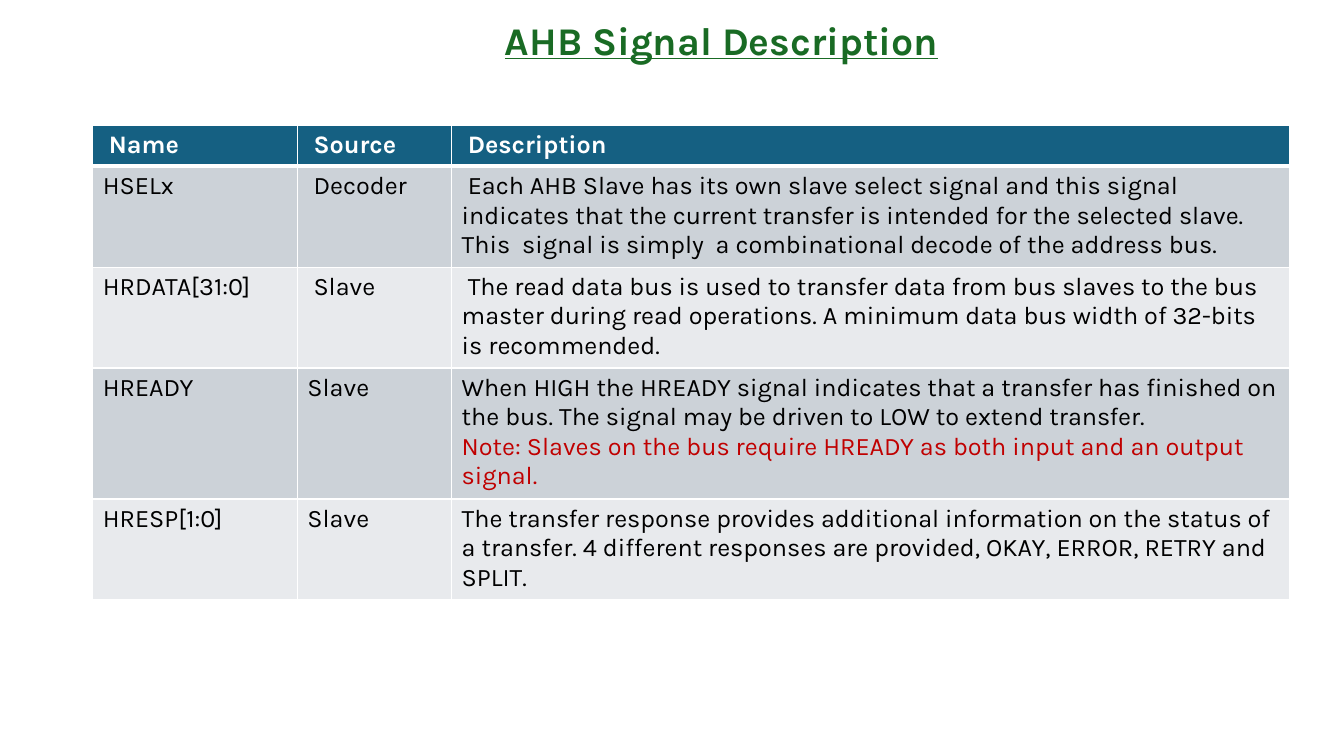
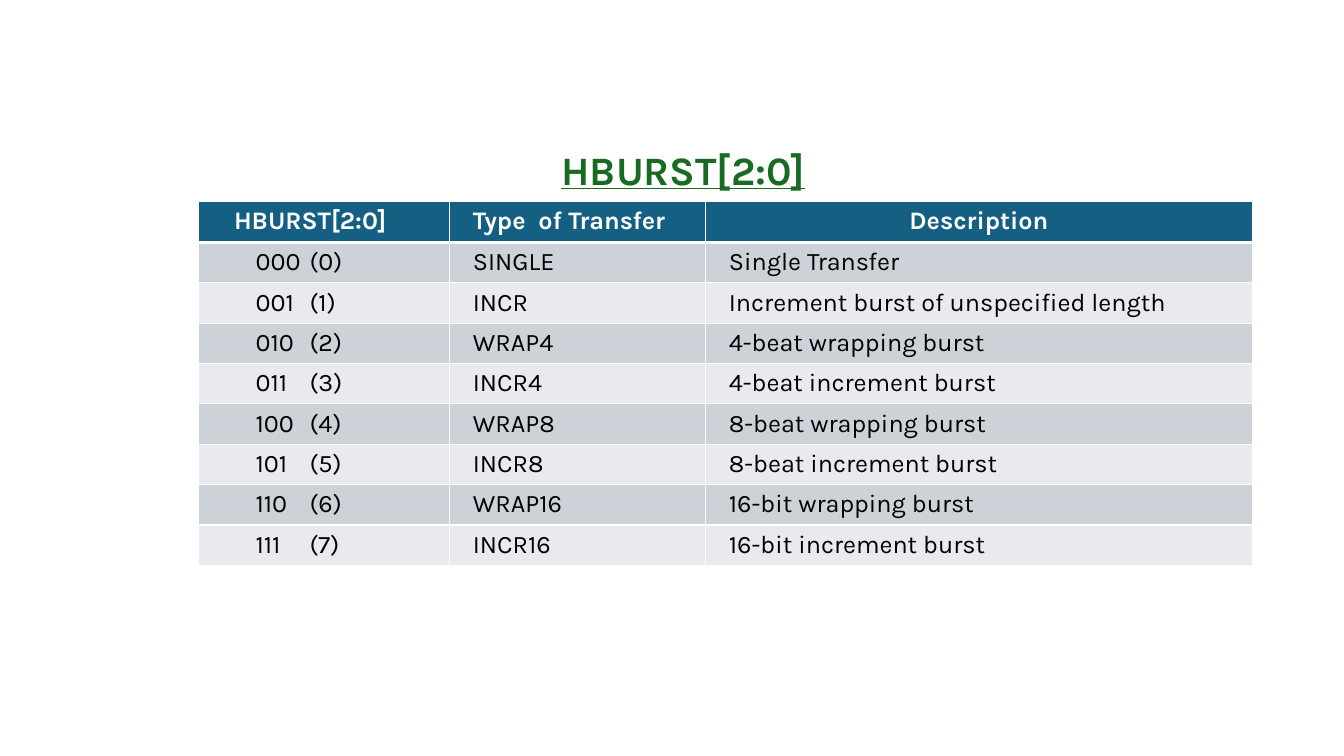
from lxml.etree import SubElement
from pptx import Presentation
from pptx.dml.color import RGBColor
from pptx.enum.text import PP_ALIGN
from pptx.oxml.ns import qn
from pptx.util import Inches, Pt

COLORS = {
    "title": "196B24",
    "header": "156082",
    "odd": "CCD2D8",
    "even": "E8EAED",
    "white": "FFFFFF",
    "text": "000000",
    "note": "C00000",
}
FONT = "Karla"
BODY_SIZE = 18
RULE, HEADER_RULE = Pt(1), Pt(3)

deck = Presentation()
deck.slide_width, deck.slide_height = Inches(13.33), Inches(7.5)
ACROSS, DOWN = deck.slide_width / 100, deck.slide_height / 100
CODE_TAB = 7.73

SIGNAL_ROWS = [
    (5.47, (0.45, 0.45, 0.45), ("Name", "Source", "Description")),
    (13.1, (0, 0.45, 0.45), (
        "HSELx", "Decoder",
        "Each AHB Slave has its own slave select signal and this signal indicates that "
        "the current transfer is intended for the selected slave. This  signal is simply  "
        "a combinational decode of the address bus.")),
    (13.1, (0, 0.45, 0.45), (
        "HRDATA[31:0]", "Slave",
        "The read data bus is used to transfer data from bus slaves to the bus master "
        "during read operations. A minimum data bus width of 32-bits is recommended.")),
    (17, (0, 0, 0), (
        "HREADY", "Slave",
        "When HIGH the HREADY signal indicates that a transfer has finished on the bus. "
        "The signal may be driven to LOW to extend transfer.\n"
        "Note: Slaves on the bus require HREADY as both input and an output signal.")),
    (13.1, (0, 0, 0), (
        "HRESP[1:0]", "Slave",
        "The transfer response provides additional information on the status of a transfer. "
        "4 different responses are provided, OKAY, ERROR, RETRY and SPLIT.")),
]

BURSTS = [
    ("SINGLE", "Single Transfer"),
    ("INCR", "Increment burst of unspecified length"),
    ("WRAP4", "4-beat wrapping burst"),
    ("INCR4", "4-beat increment burst"),
    ("WRAP8", "8-beat wrapping burst"),
    ("INCR8", "8-beat increment burst"),
    ("WRAP16", "16-bit wrapping burst"),
    ("INCR16", "16-bit increment burst"),
]
BURST_ROWS = [(5.4, (1.88, 0.98, 0), ("HBURST[2:0]", "Type  of Transfer", "Description"))]
for code, (transfer, meaning) in enumerate(BURSTS):
    BURST_ROWS.append((5.24, (3.49, 0.98, 0.98), (f"{code:03b}\t({code})", transfer, meaning)))

PAGES = [
    {"title": "AHB Signal Description", "size": 28, "title_at": (36.83, 2.27, 36),
     "table_at": (6.9, 16.53), "columns": (15.23, 11.48, 62.34),
     "rows": SIGNAL_ROWS, "centred": None},
    {"title": "HBURST[2:0]", "size": 28.8, "title_at": (41.04, 19.33, 22),
     "table_at": (14.78, 26.67), "columns": (18.68, 19.05, 40.66),
     "rows": BURST_ROWS, "centred": (0, 2)},
]


def add_run(paragraph, text, size, color, bold=False, underline=False):
    run = paragraph.add_run()
    run.text = text
    font = run.font
    font.name, font.size = FONT, Pt(size)
    font.bold, font.underline = bold, underline
    font.color.rgb = RGBColor.from_string(COLORS[color])


def add_border(cell, side, width):
    line = SubElement(cell._tc.get_or_add_tcPr(), qn(f"a:ln{side}"), w=str(width))
    fill = SubElement(line, qn("a:solidFill"))
    SubElement(fill, qn("a:srgbClr"), val=COLORS["white"])


for page in PAGES:
    slide = deck.slides.add_slide(deck.slide_layouts[6])

    left, top, width = page["title_at"]
    heading = slide.shapes.add_textbox(
        int(left * ACROSS), int(top * DOWN), int(width * ACROSS), int(7.3 * DOWN))
    heading.text_frame.word_wrap = True
    title = heading.text_frame.paragraphs[0]
    title.line_spacing = 0.9
    add_run(title, page["title"], page["size"], "title", bold=True, underline=True)

    rows, columns = page["rows"], page["columns"]
    left, top = page["table_at"]
    table = slide.shapes.add_table(
        len(rows), len(columns), int(left * ACROSS), int(top * DOWN),
        int(sum(columns) * ACROSS), int(sum(row[0] for row in rows) * DOWN)).table
    table.horz_banding = False
    for column, share in zip(table.columns, columns):
        column.width = int(share * ACROSS)

    for r, (height, indents, texts) in enumerate(rows):
        table.rows[r].height = int(height * DOWN)
        is_header = r == 0
        band = "header" if is_header else "odd" if r % 2 else "even"
        for c, (indent, text) in enumerate(zip(indents, texts)):
            cell = table.cell(r, c)
            add_border(cell, "L", RULE)
            add_border(cell, "R", RULE)
            add_border(cell, "T", HEADER_RULE if r == 1 else RULE)
            add_border(cell, "B", HEADER_RULE if is_header else RULE)
            cell.fill.solid()
            cell.fill.fore_color.rgb = RGBColor.from_string(COLORS[band])
            for n, line in enumerate(text.split("\n")):
                frame = cell.text_frame
                paragraph = frame.add_paragraph() if n else frame.paragraphs[0]
                if (r, c) == page["centred"]:
                    paragraph.alignment = PP_ALIGN.CENTER
                layout = paragraph._p.get_or_add_pPr()
                layout.set("marL", "0")
                layout.set("indent", str(int(indent * ACROSS)))
                if "\t" in line:
                    stops = SubElement(layout, qn("a:tabLst"))
                    SubElement(stops, qn("a:tab"), pos=str(int(CODE_TAB * ACROSS)), algn="l")
                color = "white" if is_header else "note" if n else "text"
                add_run(paragraph, line, BODY_SIZE, color, bold=is_header)

deck.save("out.pptx")
